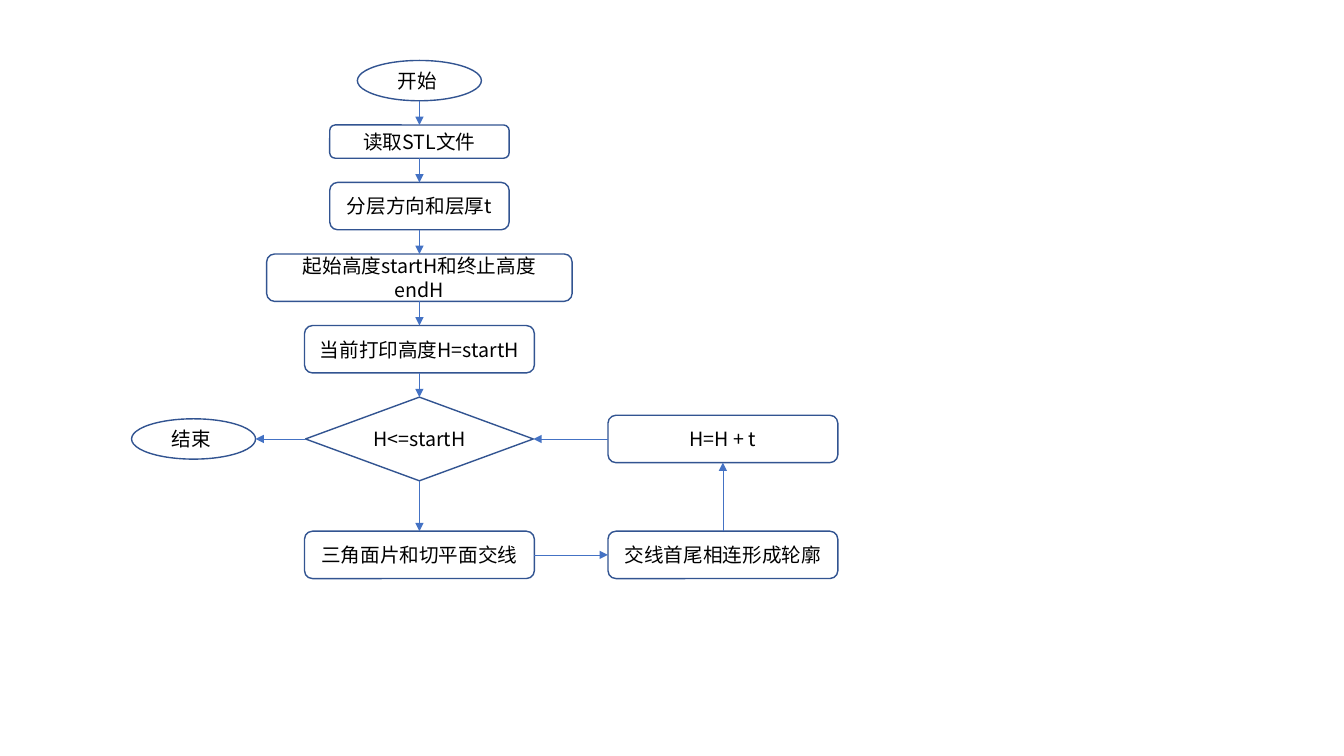
from pptx import Presentation
from pptx.dml.color import RGBColor
from pptx.enum.shapes import MSO_CONNECTOR, MSO_SHAPE
from pptx.enum.text import MSO_ANCHOR, PP_ALIGN
from pptx.oxml.ns import qn
from pptx.util import Inches, Pt
from lxml import etree

ELLIPSE = MSO_SHAPE.OVAL
BOX = MSO_SHAPE.ROUNDED_RECTANGLE
DIAMOND = MSO_SHAPE.DIAMOND
STRAIGHT = MSO_CONNECTOR.STRAIGHT
MIDDLE = MSO_ANCHOR.MIDDLE
CENTER = PP_ALIGN.CENTER

FONT = "Noto Sans CJK SC"
MAIN_X, END_X, LOOP_X = 4.16, 1.92, 7.17
TOP, GAP, LOOP_GAP = 0.6, 0.24, 0.5
OVAL_SIZE = (1.23, 0.4)
BOX_W, BOX_H = 2.28, 0.47

MAIN_STEPS = [
    (ELLIPSE, "开始 ", *OVAL_SIZE),
    (BOX, "读取STL文件", 1.78, 0.33),
    (BOX, "分层方向和层厚t", 1.78, BOX_H),
    (BOX, "起始高度startH和终止高度endH", 3.03, BOX_H),
    (BOX, "当前打印高度H=startH", BOX_W, BOX_H),
    (DIAMOND, "H<=startH", 2.26, 0.83),
]


def color(value):
    return RGBColor.from_string(value)


def add_node(s, kind, text, cx, cy, width, height):
    sp = s.shapes.add_shape(kind, Inches(cx - width / 2), Inches(cy - height / 2),
                            Inches(width), Inches(height))
    sp.shadow.inherit = False
    sp.fill.solid()
    sp.fill.fore_color.rgb = color("FFFFFF")
    sp.line.color.rgb = color("325491")
    sp.line.width = Pt(1)
    tf = sp.text_frame
    tf.word_wrap = True
    tf.vertical_anchor = MIDDLE
    p = tf.paragraphs[0]
    p.text = text
    p.alignment = CENTER
    p.font.size = Pt(14)
    p.font.color.rgb = color("000000")
    p.font.name = FONT
    latin = p._p.pPr.find(qn("a:defRPr")).find(qn("a:latin"))
    ea = etree.Element(qn("a:ea"), typeface=FONT)
    latin.addnext(ea)
    return sp


def side_point(sp, side):
    mid_x = sp.left + sp.width // 2
    mid_y = sp.top + sp.height // 2
    return {
        "top": (mid_x, sp.top),
        "bottom": (mid_x, sp.top + sp.height),
        "left": (sp.left, mid_y),
        "right": (sp.left + sp.width, mid_y),
    }[side]


def add_arrow(s, source, source_side, target, target_side):
    line = s.shapes.add_connector(STRAIGHT, *side_point(source, source_side),
                                  *side_point(target, target_side))
    line.line.color.rgb = color("4472C4")
    line.line.width = Pt(0.5)
    etree.SubElement(line.line._get_or_add_ln(), qn("a:tailEnd"), type="triangle")
    etree.SubElement(line._element.spPr, qn("a:effectLst"))


def main():
    prs = Presentation()
    prs.slide_width = Inches(13.33)
    prs.slide_height = Inches(7.5)
    s = prs.slides.add_slide(prs.slide_layouts[6])

    steps = []
    y = TOP
    for kind, text, width, height in MAIN_STEPS:
        cy = y + height / 2
        steps.append(add_node(s, kind, text, MAIN_X, cy, width, height))
        y += height + GAP
    decision, decision_y = steps[-1], cy
    loop_y = decision_y + height / 2 + LOOP_GAP + BOX_H / 2

    end = add_node(s, ELLIPSE, "结束 ", END_X, decision_y, *OVAL_SIZE)
    intersect = add_node(s, BOX, "三角面片和切平面交线", MAIN_X, loop_y, BOX_W, BOX_H)
    contour = add_node(s, BOX, "交线首尾相连形成轮廓", LOOP_X, loop_y, BOX_W, BOX_H)
    increment = add_node(s, BOX, "H=H + t", LOOP_X, decision_y, BOX_W, BOX_H)

    for upper, lower in zip(steps, steps[1:] + [intersect]):
        add_arrow(s, upper, "bottom", lower, "top")
    add_arrow(s, decision, "left", end, "right")
    add_arrow(s, intersect, "right", contour, "left")
    add_arrow(s, contour, "top", increment, "bottom")
    add_arrow(s, increment, "left", decision, "right")

    prs.save("out.pptx")


if __name__ == "__main__":
    main()
